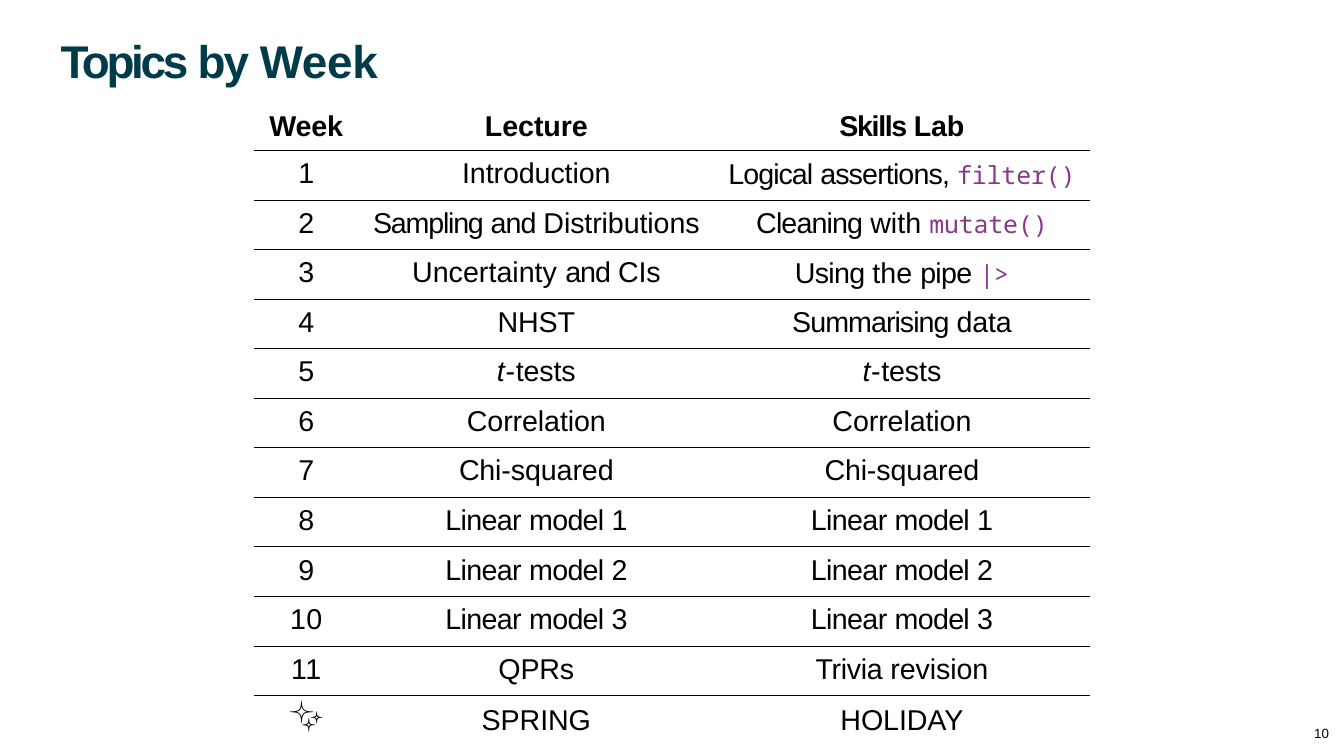
from lxml import etree
from pptx import Presentation
from pptx import util as u
from pptx.dml.color import RGBColor
from pptx.enum import text
from pptx.oxml import ns

COLOURS = {"title": "003B49", "body": "000000", "code": "87388A"}
CODE = {"filter()", "mutate()", "|>"}
NO_STYLE_NO_GRID = "{2D5ABB26-0587-4C30-8999-92F81FD0307C}"

# Character spacing in points; other words take the usual value
USUAL_SPACING = -0.1
SPACING = {
    "Week": -0.2, "Skills ": -1.1, "Lab": -0.2, "Logical ": -0.8,
    "assertions, ": -0.7, "Sampling ": -1, "and ": -0.8, "Cleaning ": -0.7,
    "with ": 0, "Uncertainty ": 0, "CIs": -0.2, "Using ": -0.6, "the ": 0,
    "pipe ": -0.6, "|>": -0.2, "NHST": -0.2, "Summarising ": -0.8,
    "data": -0.2, "t": 0.5, "-": 0.5, "Chi-": -0.2, "Linear ": -0.5,
    "model ": -0.6, "10": 0.2, "11": 0.2, "QPRs": -0.2, "Trivia ": -0.3,
    "✨": 0, "Topics ": -2.6, "by ": -1.6,
}

# Each topic is a tuple of separately spaced pieces
T_TESTS = ("t", "-", "tests")
CHI_SQUARED = ("Chi-", "squared")
LINEAR_MODELS = [("Linear ", "model ", part) for part in "123"]
HEADINGS = ("Week",), ("Lecture",), ("Skills ", "Lab")
TOPICS = [
    (("Introduction",), ("Logical ", "assertions, ", "filter()")),
    (("Sampling ", "and ", "Distributions"), ("Cleaning ", "with ", "mutate()")),
    (("Uncertainty ", "and ", "CIs"), ("Using ", "the ", "pipe ", "|>")),
    (("NHST",), ("Summarising ", "data")),
    (T_TESTS, T_TESTS),
    (("Correlation",), ("Correlation",)),
    (CHI_SQUARED, CHI_SQUARED),
    *[(model, model) for model in LINEAR_MODELS],
    (("QPRs",), ("Trivia ", "revision")),
]
HOLIDAY = ("✨",), ("SPRING",), ("HOLIDAY",)


def write(frame, pieces, size, colour="body", font="Arial", bold=False,
          align=text.PP_ALIGN.LEFT, line=None):
    paragraph = frame.paragraphs[0]
    paragraph.alignment = align
    paragraph.space_before = u.Pt(0)
    if line:
        paragraph.line_spacing = u.Pt(line)
    paragraph.font.name = font
    paragraph.font.size = u.Pt(size)
    paragraph.font.bold = bold
    paragraph.font.color.rgb = RGBColor.from_string(COLOURS[colour])
    for piece in pieces:
        run = paragraph.add_run()
        run.text = piece
        spacing = SPACING.get(piece, USUAL_SPACING)
        run.font._element.set("spc", str(round(spacing * 100)))
        if piece == "t":
            run.font.italic = True
        if piece in CODE:
            run.font.name = "Noto Sans Mono"
            run.font.size = u.Pt(19.5)
            run.font.color.rgb = RGBColor.from_string(COLOURS["code"])


def set_frame(frame):
    frame.margin_left = u.Cm(0.03)
    frame.margin_right = frame.margin_bottom = 0
    frame.margin_top = u.Cm(0.03)
    frame.vertical_anchor = text.MSO_ANCHOR.TOP
    frame.word_wrap = True
    frame.auto_size = text.MSO_AUTO_SIZE.SHAPE_TO_FIT_TEXT


def add_rule(cell, side):
    rule = etree.Element(ns.qn(f"a:{side}"), w=str(u.Pt(0.75)))
    fill = etree.SubElement(rule, ns.qn("a:solidFill"))
    etree.SubElement(fill, ns.qn("a:srgbClr"), val=COLOURS["body"])
    cell._tc.get_or_add_tcPr().insert(0, rule)


def add_title(slide):
    title = slide.shapes.title
    title.left, title.top = u.Cm(1.65), u.Cm(0.89)
    title.width, title.height = u.Cm(33.63), u.Cm(1.6)
    set_frame(title.text_frame)
    write(title.text_frame, ("Topics ", "by ", "Week"), 36, "title", bold=True)


def add_schedule(slide):
    weeks = [((str(number),), *topics) for number, topics in enumerate(TOPICS, 1)]
    rows = [HEADINGS, *weeks, HOLIDAY]
    last = len(rows) - 1
    widths = u.Cm(2.9), u.Cm(9.86), u.Cm(10.41)
    edge_height, weeks_height = u.Cm(1.17), u.Cm(15.12)
    frame = slide.shapes.add_table(
        len(rows), len(widths), u.Cm(7.04), u.Cm(3),
        sum(widths), weeks_height + 2 * edge_height)
    schedule = frame.table
    schedule.first_row = schedule.horz_banding = False
    schedule._tbl.tblPr.find(ns.qn("a:tableStyleId")).text = NO_STYLE_NO_GRID
    for column, width in zip(schedule.columns, widths):
        column.width = width

    for index, topics in enumerate(rows):
        is_edge = index in (0, last)
        schedule.rows[index].height = (
            edge_height if is_edge else weeks_height // len(weeks))
        for column, pieces in enumerate(topics):
            cell = schedule.cell(index, column)
            cell.fill.background()
            is_sparkle = pieces == ("✨",)
            cell.margin_left = cell.margin_right = cell.margin_bottom = 0
            cell.margin_top = 0 if index == 0 or is_sparkle else u.Cm(0.2)
            # Rules between rows only
            if index < last:
                add_rule(cell, "lnB")
            if index > 0:
                add_rule(cell, "lnT")
            line = {0: 26.7, last: 31.8 if is_sparkle else 26.3}.get(index)
            write(cell.text_frame, pieces, 28 if is_sparkle else 22.5,
                  font="Calibri" if is_sparkle else "Arial",
                  bold=index == 0, align=text.PP_ALIGN.CENTER, line=line)


def add_page_number(slide):
    page = slide.shapes.add_textbox(u.Cm(36.4), u.Cm(20.07), u.Cm(0.51), u.Cm(0.51))
    set_frame(page.text_frame)
    write(page.text_frame, ("10",), 10.5)


def main():
    deck = Presentation()
    deck.slide_width, deck.slide_height = u.Cm(37.26), u.Cm(20.96)
    slide = deck.slides.add_slide(deck.slide_layouts[5])
    add_schedule(slide)
    add_title(slide)
    add_page_number(slide)
    deck.save("out.pptx")


if __name__ == "__main__":
    main()
